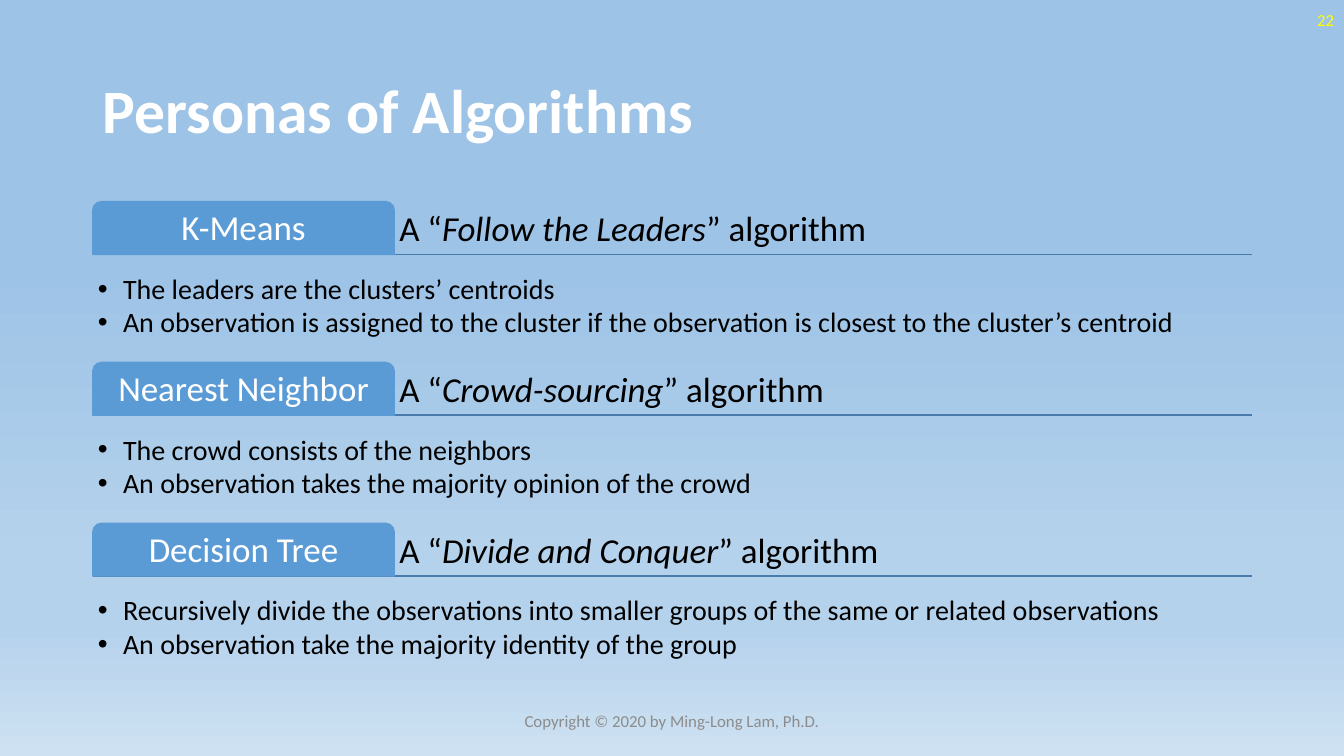
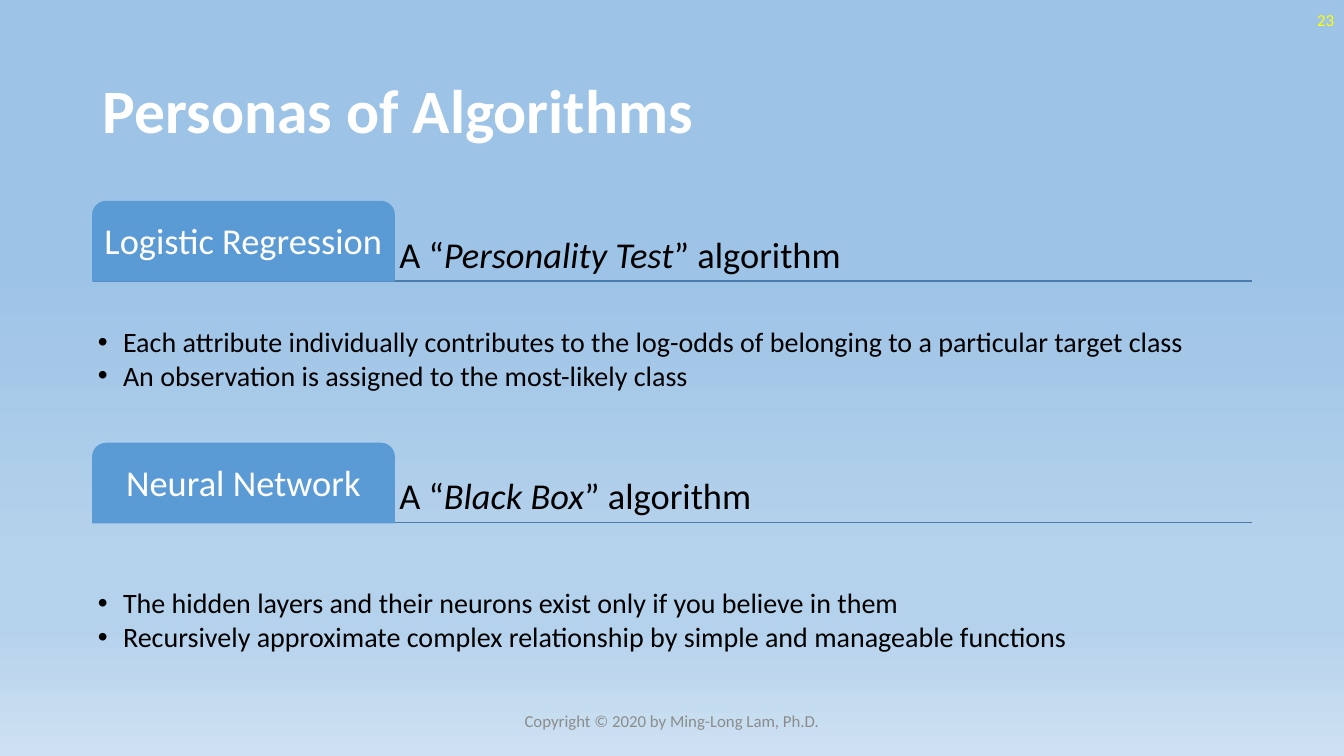
from copy import deepcopy

from lxml import etree
from pptx import Presentation
from pptx.dml.color import RGBColor
from pptx.enum.shapes import MSO_CONNECTOR, MSO_SHAPE
from pptx.enum.text import MSO_ANCHOR, MSO_AUTO_SIZE, PP_ALIGN
from pptx.oxml.ns import qn
from pptx.util import Inches, Pt

LEFT, CENTER, RIGHT = PP_ALIGN.LEFT, PP_ALIGN.CENTER, PP_ALIGN.RIGHT
MIDDLE, BOTTOM = MSO_ANCHOR.MIDDLE, MSO_ANCHOR.BOTTOM
NO_AUTOFIT = MSO_AUTO_SIZE.NONE
TAB_SHAPE = MSO_SHAPE.ROUND_2_SAME_RECTANGLE
STRAIGHT = MSO_CONNECTOR.STRAIGHT

WHITE = RGBColor(0xFF, 0xFF, 0xFF)
BLACK = RGBColor(0x00, 0x00, 0x00)
YELLOW = RGBColor(0xFF, 0xFF, 0x00)
GRAY = RGBColor(0x8C, 0x8C, 0x8C)
TAB_BLUE = RGBColor(0x5B, 0x9B, 0xD5)
RULE_BLUE = RGBColor(0x49, 0x7C, 0xAB)
SKY = RGBColor(0x9D, 0xC3, 0xE6)
PALE_SKY = RGBColor(0xB5, 0xD2, 0xEC)
HAZE = RGBColor(0xCE, 0xE1, 0xF2)
BACKDROP = [(0.35, SKY), (0.74, PALE_SKY), (0.83, PALE_SKY), (1, HAZE)]

FONT = "Calibri"
SLIDE_W, SLIDE_H = 13.33, 7.5
MARGIN, CONTENT_W = 0.92, 11.5
SECTIONS_TOP, SECTIONS_H = 2.0, 4.76
TAB_W = 0.26 * CONTENT_W
LIST_ROWS, GAP_ROWS = 2, 0.05
INSET, INDENT = 0.05, 0.25
COMPARISON_LAYOUT = 4

TITLE = "Personas of Algorithms"
COPYRIGHT = "Copyright © 2020 by Ming-Long Lam, Ph.D."

PERSONAS = [
    (22, 25, [
        ("K-Means", "Follow the Leaders", 0, [
            "The leaders are the clusters’ centroids",
            "An observation is assigned to the cluster if the observation "
            "is closest to the cluster’s centroid"]),
        ("Nearest Neighbor", "Crowd-sourcing", 0, [
            "The crowd consists of the neighbors",
            "An observation takes the majority opinion of the crowd"]),
        ("Decision Tree", "Divide and Conquer", 0, [
            "Recursively divide the observations into smaller groups "
            "of the same or related observations",
            "An observation take the majority identity of the group"]),
    ]),
    (23, 26, [
        ("Logistic Regression", "Personality Test", 0, [
            "Each attribute individually contributes to the log-odds "
            "of belonging to a particular target class",
            "An observation is assigned to the most-likely class"]),
        ("Neural Network", "Black Box", 0.38, [
            "The hidden layers and their neurons exist only if you believe in them",
            "Recursively approximate complex relationship "
            "by simple and manageable functions"]),
    ]),
]


def paint_backdrop(master):
    fill = master.background.fill
    fill.gradient()
    fill.gradient_angle = 270
    stop_list = master.element.find(".//" + qn("a:gsLst"))
    while len(stop_list) < len(BACKDROP):
        stop_list.append(deepcopy(stop_list[0]))
    for stop, (position, color) in zip(fill.gradient_stops, BACKDROP):
        stop.position = position
        stop.color.rgb = color


def place(shape, left, top, width, height):
    shape.left, shape.top = Inches(left), Inches(top)
    shape.width, shape.height = Inches(width), Inches(height)


def set_frame(frame, anchor, inset=None):
    frame.word_wrap = True
    frame.auto_size = NO_AUTOFIT
    frame.vertical_anchor = anchor
    if inset is not None:
        frame.margin_left = frame.margin_right = Inches(inset)
        frame.margin_top = frame.margin_bottom = Inches(inset)


def style(paragraph, size, color, align=LEFT, bold=False, spacing=0.9):
    paragraph.alignment = align
    paragraph.line_spacing = spacing
    paragraph.space_before = Pt(0)
    for run in paragraph.runs:
        run.font.name = FONT
        run.font.size = Pt(size)
        run.font.bold = bold
        run.font.color.rgb = color


def add_bullet(paragraph):
    properties = paragraph._p.get_or_add_pPr()
    properties.set("marL", str(Inches(INDENT)))
    properties.set("indent", str(-Inches(INDENT)))
    etree.SubElement(properties, qn("a:buFont")).set("typeface", "Arial")
    etree.SubElement(properties, qn("a:buChar")).set("char", "•")


def add_title(slide):
    title = slide.shapes.title
    place(title, MARGIN, 0.4, CONTENT_W, 1.45)
    title.text_frame.text = TITLE
    set_frame(title.text_frame, MIDDLE)
    style(title.text_frame.paragraphs[0], 44, WHITE, bold=True)


def add_marginal(slide, text, left, top, width, color, align):
    note = slide.shapes.add_textbox(0, 0, 0, 0)
    place(note, left, top, width, 0.4)
    note.text_frame.text = text
    set_frame(note.text_frame, MIDDLE)
    style(note.text_frame.paragraphs[0], 12, color, align, spacing=1.0)


def add_rule(slide, y):
    rule = slide.shapes.add_connector(
        STRAIGHT, Inches(MARGIN), Inches(y), Inches(MARGIN + CONTENT_W), Inches(y))
    rule.line.color.rgb = RULE_BLUE
    rule.line.width = Pt(1)
    etree.SubElement(rule._element.spPr, qn("a:effectLst"))


def add_tab(slide, name, top, height, size):
    tab = slide.shapes.add_shape(TAB_SHAPE, 0, 0, 0, 0)
    place(tab, MARGIN, top, TAB_W, height)
    tab.shadow.inherit = False
    tab.fill.solid()
    tab.fill.fore_color.rgb = TAB_BLUE
    tab.line.color.rgb = TAB_BLUE
    tab.line.width = Pt(1)
    tab.text_frame.text = name
    set_frame(tab.text_frame, MIDDLE, INSET)
    style(tab.text_frame.paragraphs[0], size, WHITE, CENTER)


def add_persona(slide, persona, top, height, size):
    box = slide.shapes.add_textbox(0, 0, 0, 0)
    place(box, MARGIN + TAB_W, top, CONTENT_W - TAB_W, height)
    set_frame(box.text_frame, BOTTOM, INSET)
    paragraph = box.text_frame.paragraphs[0]
    for text, italic in (("A “", False), (persona, True), ("” algorithm", False)):
        run = paragraph.add_run()
        run.text = text
        run.font.italic = italic
    style(paragraph, size, BLACK)


def fill_list(body, traits, top, height, lead):
    place(body, MARGIN, top, CONTENT_W, height)
    frame = body.text_frame
    frame.text = "\n".join(traits)
    set_frame(frame, MIDDLE, INSET)
    frame.margin_top = Inches(INSET + lead)
    for paragraph in frame.paragraphs:
        add_bullet(paragraph)
        style(paragraph, 20, BLACK)
        paragraph.space_after = Pt(2.5)


def add_sections(slide, sections, size):
    count = len(sections)
    row = SECTIONS_H / (count * (1 + LIST_ROWS) + (count - 1) * GAP_ROWS)
    pitch = row * (1 + LIST_ROWS + GAP_ROWS)
    bodies = list(slide.placeholders)[1:]
    for index, (name, persona, lead, traits) in enumerate(sections):
        top = SECTIONS_TOP + index * pitch
        add_rule(slide, top + row)
        add_persona(slide, persona, top, row, size)
        add_tab(slide, name, top, row, size)
        fill_list(bodies[index], traits, top + row, LIST_ROWS * row, lead)
    for spare in bodies[count:]:
        spare._element.getparent().remove(spare._element)


def main():
    deck = Presentation()
    deck.slide_width, deck.slide_height = Inches(SLIDE_W), Inches(SLIDE_H)
    paint_backdrop(deck.slide_master)
    for number, size, sections in PERSONAS:
        slide = deck.slides.add_slide(deck.slide_layouts[COMPARISON_LAYOUT])
        add_title(slide)
        add_marginal(slide, str(number), SLIDE_W - 3, 0, 3, YELLOW, RIGHT)
        add_sections(slide, sections, size)
        add_marginal(slide, COPYRIGHT, (SLIDE_W - 4.5) / 2, 6.95, 4.5, GRAY, CENTER)
    deck.save("out.pptx")


if __name__ == "__main__":
    main()
